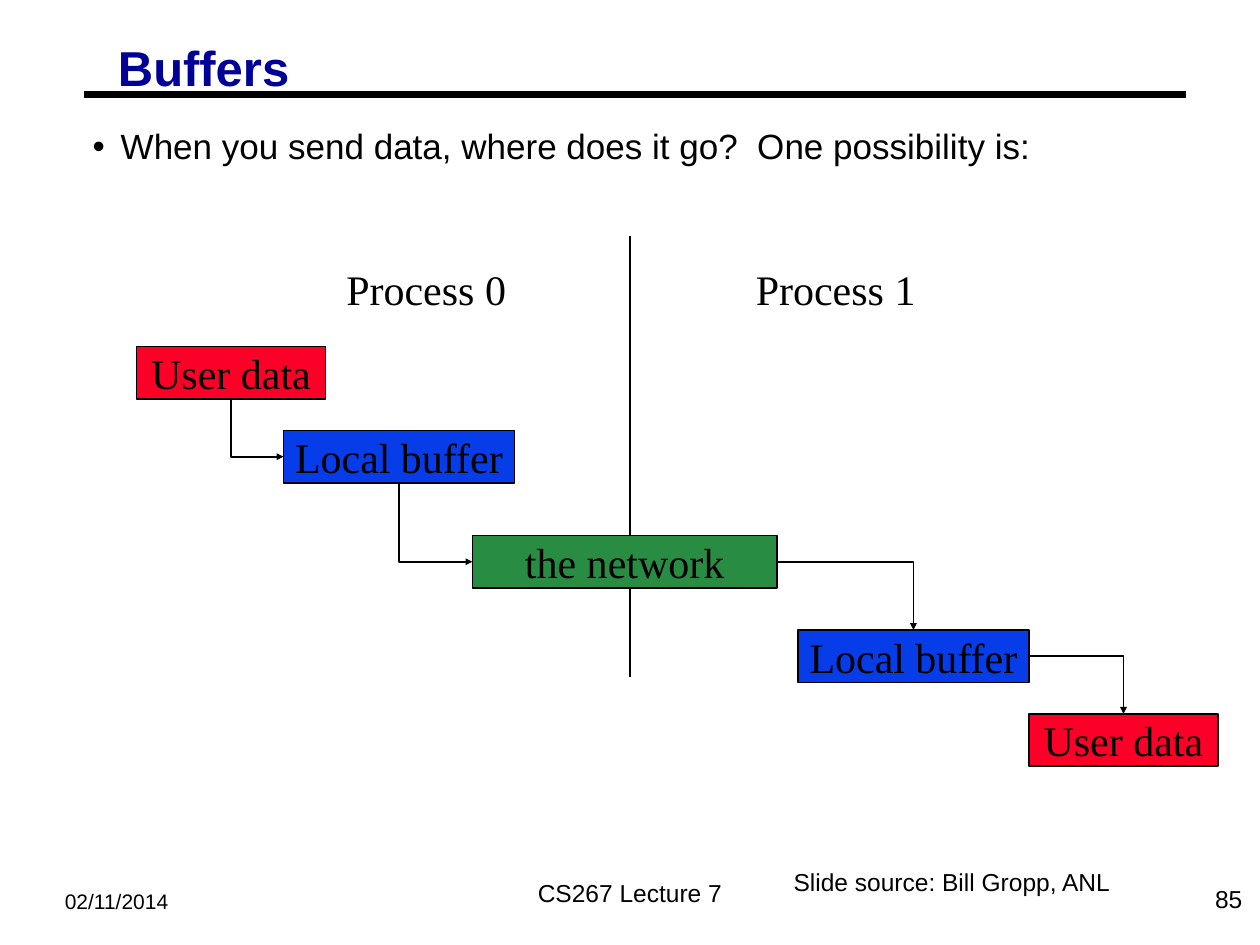
from dataclasses import dataclass

from lxml.etree import SubElement
from pptx import Presentation
from pptx.dml.color import RGBColor
from pptx.enum.shapes import MSO_CONNECTOR, MSO_SHAPE
from pptx.enum.text import MSO_ANCHOR, MSO_AUTO_SIZE, PP_ALIGN
from pptx.oxml.ns import qn
from pptx.util import Pt


@dataclass(frozen=True)
class Theme:
    """Colours, fonts and type sizes of the slide."""
    ink: str = "000000"
    title: str = "000099"
    user: str = "FC0128"
    local: str = "063DE8"
    net: str = "288C43"
    sans: str = "Arial"
    serif: str = "Times New Roman"
    head: int = 28
    body: int = 20
    label: int = 24
    foot: int = 14
    date: int = 12


THEME = Theme()
TOP, LEFT, BOTTOM, RIGHT = range(4)


def color(code):
    """Turn a hex code into a colour."""
    return RGBColor.from_string(code)


def place(shape, box):
    """Move a shape to a box given in points."""
    shape.left, shape.top, shape.width, shape.height = map(Pt, box)


def write(shape, text, size, face, ink=THEME.ink, bold=False, align=PP_ALIGN.LEFT,
          anchor=MSO_ANCHOR.TOP, wrap=False, inset=(7.2, 3.6)):
    """Fill a shape with one styled paragraph and return it."""
    frame = shape.text_frame
    frame.auto_size = MSO_AUTO_SIZE.NONE
    frame.word_wrap = wrap
    frame.vertical_anchor = anchor
    frame.margin_left = frame.margin_right = Pt(inset[0])
    frame.margin_top = frame.margin_bottom = Pt(inset[1])
    frame.text = text
    para = frame.paragraphs[0]
    para.alignment = align
    para.space_before = Pt(0)
    font = para.font
    font.name, font.size, font.bold = face, Pt(size), bold
    font.color.rgb = color(ink)
    return para


def note(slide, box, text, size, face=THEME.sans, **style):
    """Add a text box."""
    shape = slide.shapes.add_textbox(*map(Pt, box))
    write(shape, text, size, face, **style)


def link(slide, ends, width=1, kind=MSO_CONNECTOR.STRAIGHT):
    """Add a plain line between two points."""
    line = slide.shapes.add_connector(kind, *map(Pt, ends))
    line.line.color.rgb = color(THEME.ink)
    line.line.width = Pt(width)
    SubElement(line.element.spPr, qn("a:effectLst"))
    return line


def node(slide, box, text, fill):
    """Add a filled box with a centred label."""
    shape = slide.shapes.add_shape(MSO_SHAPE.RECTANGLE, *map(Pt, box))
    shape.shadow.inherit = False
    shape.fill.solid()
    shape.fill.fore_color.rgb = color(fill)
    shape.line.color.rgb = color(THEME.ink)
    shape.line.width = Pt(1)
    write(shape, text, THEME.label, THEME.serif, align=PP_ALIGN.CENTER,
          anchor=MSO_ANCHOR.MIDDLE)
    return shape


def bend(slide, start, end, down):
    """Join two boxes by an arrow with one corner, going down or right first."""
    line = link(slide, (0, 0, 0, 0), kind=MSO_CONNECTOR.ELBOW)
    line.begin_connect(start, BOTTOM if down else RIGHT)
    line.end_connect(end, LEFT if down else TOP)
    props = line.element.spPr
    props.find(qn("a:prstGeom")).set("prst", "bentConnector2")
    SubElement(props.find(qn("a:ln")), qn("a:tailEnd"), type="triangle", w="sm", len="sm")
    if down:
        wide, high = line.width, line.height
        line.left += (wide - high) // 2
        line.top += (high - wide) // 2
        line.width, line.height = high, wide
        turn = props.find(qn("a:xfrm"))
        turn.set("rot", "16200000")
        turn.set("flipH", "1")


def head(slide, box):
    """Set the title above its rule."""
    x, y, w, h = box
    link(slide, (x, y + h, x + w, y + h), 3.75)
    title = slide.shapes.title
    place(title, (x + 14.4, y, 108, 33))
    para = write(title, "Buffers", THEME.head, THEME.sans, ink=THEME.title,
                 bold=True, wrap=True, inset=(5, 2))
    para.line_spacing = 0.87


def body(slide, box):
    """Set the bulleted list."""
    shape = slide.placeholders[1]
    place(shape, box)
    para = write(shape, "When you send data, where does it go?  One possibility is:",
                 THEME.body, THEME.sans, wrap=True, inset=(5, 2))
    para.line_spacing = 0.9
    props = para._p.get_or_add_pPr()
    props.set("marL", str(Pt(16)))
    props.set("indent", str(-Pt(16)))


def flow(slide, box):
    """Draw the path of the data between the two processes."""
    x, y, w, h = box
    mid = x + 282
    link(slide, (mid, y, mid, y + h))
    for i in range(2):
        note(slide, (x + 112.8 + 234 * i, y + 12, 106, 36), f"Process {i}",
             THEME.label, THEME.serif)
    steps = (
        (0, 63, 108, "User data", THEME.user),
        (84, 111, 132, "Local buffer", THEME.local),
        (192, 171, 174, "the network", THEME.net),
        (378, 225, 132, "Local buffer", THEME.local),
        (510, 273, 108, "User data", THEME.user),
    )
    nodes = [node(slide, (x + dx, y + dy, wide, 30), text, fill)
             for dx, dy, wide, text, fill in steps]
    for i, (start, end) in enumerate(zip(nodes, nodes[1:])):
        bend(slide, start, end, down=i < 2)


def foot(slide, box):
    """Set the date, lecture, source and page number."""
    x, y, w, h = box
    note(slide, (x, y + 12, 138, 22), "02/11/2014", THEME.date, wrap=True)
    note(slide, (x + 216, y, 228, h), "CS267 Lecture 7", THEME.foot,
         align=PP_ALIGN.CENTER, anchor=MSO_ANCHOR.MIDDLE)
    note(slide, (x + w - 150, y + 3.5, 150, h), "85", THEME.foot,
         align=PP_ALIGN.RIGHT, anchor=MSO_ANCHOR.MIDDLE)
    note(slide, (x + 416.4, y, 196, 24), "Slide source: Bill Gropp, ANL", THEME.foot)


def main():
    """Build and save the slide."""
    deck = Presentation()
    deck.slide_width, deck.slide_height = Pt(720), Pt(540)
    slide = deck.slides.add_slide(deck.slide_layouts[1])
    head(slide, (48, 24, 630, 30))
    body(slide, (48, 72, 630, 26))
    flow(slide, (78, 135, 618, 252))
    foot(slide, (30, 492, 687, 36))
    deck.save("out.pptx")


if __name__ == "__main__":
    main()
